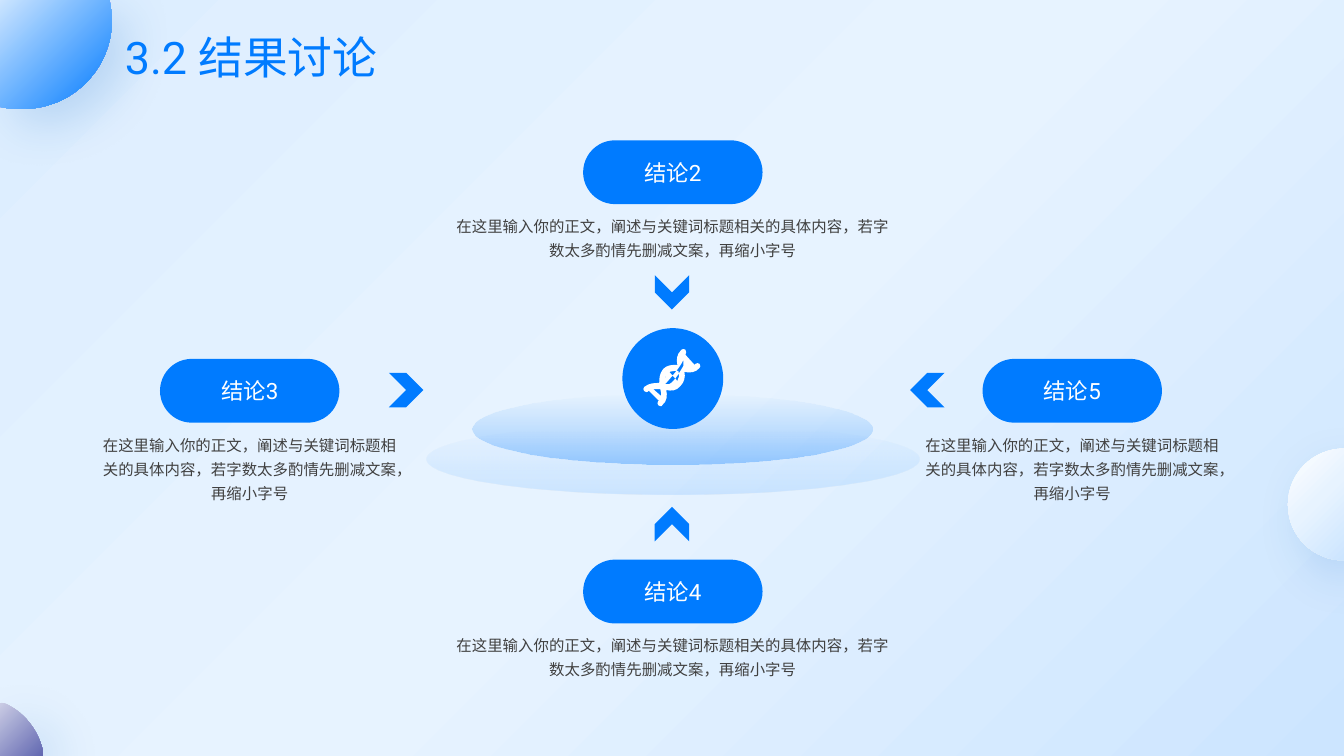
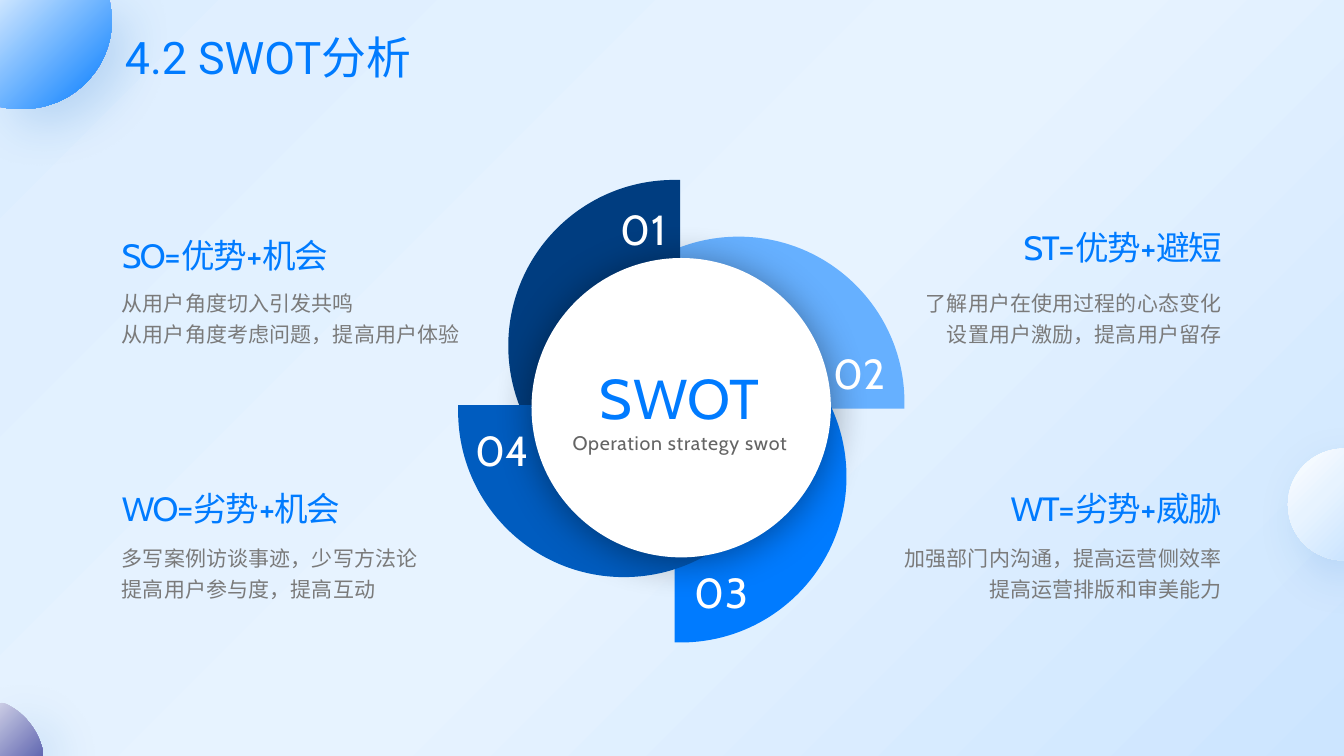
"""Build a results slide and a SWOT slide on a 160 by 90 grid."""
import math
from dataclasses import dataclass
from typing import Any

import pptx
import pptx.dml.color
import pptx.enum.lang
import pptx.enum.shapes
import pptx.enum.text
import pptx.oxml
import pptx.oxml.ns
import pptx.util

COLS, ROWS = 160, 90
CELL = pptx.util.Inches(1 / 12)
HUES = {
    "blue": "007BFF", "deep": "005CBF", "navy": "003D80", "sky": "66B0FF",
    "white": "FFFFFF", "black": "000000", "ink": "404040", "gray": "7A7A7A",
    "slate": "646464", "mist": "DDEEFF", "ice": "E7F3FF", "pale": "CCE5FF",
    "lilac": "CBCDE5", "plum": "6369B2",
}
KIND = pptx.enum.shapes.MSO_SHAPE
ALIGN = pptx.enum.text.PP_ALIGN
ANCHOR = pptx.enum.text.MSO_ANCHOR
Point = tuple[float, float]
Stop = tuple[int, str, int]
Loop = tuple[tuple[float, ...], ...]


@dataclass(frozen=True)
class Ball:
    """Part of a ball at the slide edge."""
    rim: Loop
    stops: tuple[Stop, ...]


@dataclass(frozen=True)
class Claim:
    """Pill with body text and an arrow to the centre."""
    name: str
    x: float
    y: float
    wide: float
    tip: Point
    turn: int


@dataclass(frozen=True)
class Petal:
    """Half disc of the wheel with its number."""
    name: str
    x: float
    y: float
    turn: int
    hue: str
    spot: Point
    wide: float


@dataclass(frozen=True)
class Plan:
    """Heading and two lines in one corner."""
    head: str
    body: tuple[str, str]
    right: bool
    tops: Point
    wides: Point
    high: float = 4.8
    gap: float = 1.0


BALLS = (
    Ball(((0, 0), (13.08, 0), (13.08, 0.24), (13.2, 0.96, 13.32, 1.68, 13.32, 2.4),
          (13.32, 8.28, 8.52, 12.96, 2.76, 12.96), (1.92, 12.96, 1.2, 12.96, 0.6, 12.84),
          (0, 12.72)), ((0, "pale", 100), (100, "blue", 100))),
    Ball(((160, 53.4), (160, 66.72), (156.24, 66.72, 153.33, 63.72, 153.33, 60.06),
          (153.33, 56.4, 156.24, 53.4, 160, 53.4)),
         ((0, "white", 100), (49, "ice", 100), (100, "pale", 100))),
    Ball(((0, 83.64), (0.6, 83.76), (2.76, 84.72, 4.44, 86.76, 5.04, 89.16),
          (5.04, 90), (0, 90)), ((0, "lilac", 100), (100, "plum", 100))),
)
BODY = "在这里输入你的正文，阐述与关键词标题相关的具体内容，若字数太多酌情先删减文案，再缩小字号"
CLAIMS = (
    Claim("结论2", 80.1, 16.7, 53.04, (80, 34.8), 90),
    Claim("结论3", 29.73, 42.72, 36.48, (48.36, 46.44), 0),
    Claim("结论5", 127.65, 42.72, 36.48, (110.4, 46.44), 180),
    Claim("结论4", 80.1, 66.62, 53.04, (80, 62.4), 270),
)
PETALS = (
    Petal("02", 87.93, 47.91, 270, "sky", (98.04, 40.74), 16.92),
    Petal("03", 81.03, 56.74, 0, "blue", (81.54, 66.9), 20.64),
    Petal("01", 80.25, 41.16, 180, "navy", (72.72, 23.64), 17.52),
    Petal("04", 74.28, 48.96, 90, "deep", (55.38, 49.98), 18.96),
)
PLANS = (
    Plan("ST=优势+避短", ("了解用户在使用过程的心态变化", "设置用户激励，提高用户留存"),
         True, (27.36, 33.2), (33.48, 42.84), 3.84, 0.79),
    Plan("WT=劣势+威胁", ("加强部门内沟通，提高运营侧效率", "提高运营排版和审美能力"),
         True, (57.45, 63.57), (35.16, 45.24)),
    Plan("SO=优势+机会", ("从用户角度切入引发共鸣", "从用户角度考虑问题，提高用户体验"),
         False, (27.36, 33.2), (42.6, 46.08)),
    Plan("WO=劣势+机会", ("多写案例访谈事迹，少写方法论", "提高用户参与度，提高互动"),
         False, (57.45, 63.57), (39.12, 42.6)),
)
HELIX = (
    ((56, 15), (55, 14, 53, 14, 52, 15), (52, 16, 52, 16, 51, 16), (42, 6),
     (43, 4, 43, 3, 42, 1), (41, 0, 39, 0, 38, 1), (33, 6, 33, 11, 34, 16),
     (29, 16, 24, 16, 20, 20), (16, 25, 16, 30, 16, 34), (11, 34, 6, 34, 1, 38),
     (0, 39, 0, 41, 1, 42), (2, 43, 2, 43, 3, 43), (4, 43, 5, 43, 5, 42),
     (6, 42), (16, 52), (15, 52), (14, 53, 14, 55, 15, 56),
     (16, 57, 16, 57, 17, 57), (18, 57, 19, 57, 19, 56), (24, 52, 24, 46, 23, 41),
     (28, 42, 33, 42, 37, 37), (41, 33, 42, 28, 41, 23), (46, 24, 52, 24, 56, 19),
     (57, 18, 57, 17, 56, 15)),
    ((35, 22), (36, 26, 36, 29, 34, 32), (26, 23), (29, 22, 31, 22, 35, 22)),
    ((10, 40), (12, 40, 14, 40, 17, 40), (18, 43, 18, 45, 18, 47)),
    ((22, 35), (22, 32, 21, 29, 23, 26), (31, 35), (29, 36, 26, 36, 22, 35)),
    ((40, 17), (40, 15, 39, 12, 40, 11), (47, 18), (45, 18, 43, 18, 40, 17)),
)


def grid(*cells: float) -> list[int]:
    """Turn grid cells into slide lengths."""
    return [round(cell * CELL) for cell in cells]


def tone(hue: str) -> pptx.dml.color.RGBColor:
    """Look up a colour by name."""
    return pptx.dml.color.RGBColor.from_string(HUES[hue])


def node(tag: str, root: Any, **attrs: Any) -> Any:
    """Append a drawing element to a parent."""
    item = pptx.oxml.parse_xml(f"<a:{tag} {pptx.oxml.ns.nsdecls('a')}/>")
    for key, val in attrs.items():
        item.set(key, str(val))
    root.append(item)
    return item


def tint(root: Any, hue: str, alpha: int) -> None:
    """Append a colour with its opacity in percent."""
    color = node("srgbClr", root, val=HUES[hue])
    if alpha < 100:
        node("alpha", color, val=alpha * 1000)


def blend(fill: Any, root: Any, stops: tuple[Stop, ...], turn: int) -> None:
    """Give a fill a linear gradient."""
    fill.gradient()
    grad = next(root.iter(pptx.oxml.ns.qn("a:gradFill")))
    for child in list(grad):
        grad.remove(child)
    marks = node("gsLst", grad)
    for pos, hue, alpha in stops:
        tint(node("gs", marks, pos=pos * 1000), hue, alpha)
    node("lin", grad, ang=turn * 60000, scaled=0)


def paint(shape: Any, hue: str = "", stops: tuple[Stop, ...] = (), turn: int = 0) -> Any:
    """Fill a shape and drop its line and shadow."""
    if stops:
        blend(shape.fill, shape._element.spPr, stops, turn)
    else:
        shape.fill.solid()
        shape.fill.fore_color.rgb = tone(hue)
    shape.line.fill.background()
    shape.shadow.inherit = False
    return shape


def shade(shape: Any, hue: str, alpha: int, blur: int, dist: int, turn: int) -> None:
    """Give a shape an outer shadow."""
    effect = shape._element.spPr.find(pptx.oxml.ns.qn("a:effectLst"))
    cast = node("outerShdw", effect, blurRad=blur * 12700, dist=dist * 12700,
                dir=turn * 60000, rotWithShape=0)
    tint(cast, hue, alpha)


def form(slide: Any, kind: Any, x: float, y: float, wide: float, high: float) -> Any:
    """Add a preset shape by its centre."""
    return slide.shapes.add_shape(kind, *grid(x - wide / 2, y - high / 2, wide, high))


def trace(slide: Any, *loops: Loop) -> Any:
    """Add closed loops whose rows are line ends or cubic curves."""
    pen = slide.shapes.build_freeform(*grid(*loops[0][0]))
    for loop in loops:
        if loop is not loops[0]:
            pen.move_to(*grid(*loop[0]))
        pen.add_line_segments([grid(*row[-2:]) for row in loop[1:]], close=True)
    shape = pen.convert_to_shape()
    left, top = shape.left, shape.top
    lines = list(shape._element.iter(pptx.oxml.ns.qn("a:lnTo")))
    rows = [row for loop in loops
            for row in loop[1:] + (() if loop[-1][-2:] == loop[0] else (loop[0],))]
    for line, row in zip(lines, rows):
        if len(row) == 6:
            curve = node("cubicBezTo", line.getparent())
            line.getparent().replace(line, curve)
            spots = grid(*row)
            for x, y in zip(spots[::2], spots[1::2]):
                node("pt", curve, x=x - left, y=y - top)
    return shape


def half(x: float, y: float, rad: float, lip: float, turn: int) -> Loop:
    """Outline a half disc with a straight lip, facing a direction."""
    cos, sin = round(math.cos(math.radians(turn))), round(math.sin(math.radians(turn)))
    bow = rad * 0.5523
    rows = ((-lip, -rad), (0, -rad), (bow, -rad, rad, -bow, rad, 0),
            (rad, bow, bow, rad, 0, rad), (-lip, rad))
    return tuple(tuple(val for a, b in zip(row[::2], row[1::2])
                       for val in (x + a * cos - b * sin, y + a * sin + b * cos))
                 for row in rows)


def frame(slide: Any, x: float, y: float, wide: float, high: float) -> Any:
    """Add a text box and return its frame."""
    return slide.shapes.add_textbox(*grid(x, y, wide, high)).text_frame


def text(box: Any, *lines: str, size: int, hue: str, font: str = "Roboto",
         align: Any = ALIGN.LEFT, gap: float = 1.0, track: float = 0,
         anchor: Any = ANCHOR.TOP, bare: bool = False) -> None:
    """Add formatted lines to a text frame."""
    box.word_wrap = True
    box.vertical_anchor = anchor
    if bare:
        box.margin_left = box.margin_right = box.margin_top = box.margin_bottom = 0
    for line in lines:
        para = box.add_paragraph() if box.text else box.paragraphs[0]
        para.alignment = align
        para.line_spacing = gap
        run = para.add_run()
        run.text = line
        run.font.size = pptx.util.Pt(size)
        run.font.color.rgb = tone(hue)
        run.font.name = font
        run.font.language_id = pptx.enum.lang.MSO_LANGUAGE_ID.SIMPLIFIED_CHINESE
        props = run._r.get_or_add_rPr()
        node("ea", props, typeface=font)
        if track:
            props.set("spc", str(round(track * 100)))


def start(deck: Any, title: str) -> Any:
    """Add a slide with corner balls and a title."""
    slide = deck.slides.add_slide(deck.slide_layouts[6])
    for ball in BALLS:
        shade(paint(trace(slide, ball.rim), stops=ball.stops, turn=45), "deep", 16, 35, 16, 45)
    text(frame(slide, 13.68, 3.24, 40, 7.92), title, size=32, hue="blue",
         gap=0.9, anchor=ANCHOR.MIDDLE)
    return slide


def results(deck: Any) -> None:
    """Draw four conclusions around a pedestal."""
    slide = start(deck, "3.2 结果讨论")
    for y, wide, low, alpha in ((51.05, 47.64, 0, 33), (54.65, 58.7, 10, 12)):
        paint(form(slide, KIND.OVAL, 80.1, y, wide, 8.4),
              stops=((low, "blue", 0), (100, "blue", alpha)), turn=90)
    paint(form(slide, KIND.OVAL, 80.1, 45.07, 12, 12), "blue")
    helix = (tuple(tuple((41.52 if i % 2 else 76.56) + val * 0.12 for i, val in enumerate(row))
                   for row in loop) for loop in HELIX)
    paint(trace(slide, *helix), "white")
    for claim in CLAIMS:
        pill = paint(form(slide, KIND.ROUNDED_RECTANGLE, claim.x, claim.y + 3.8, 21.36, 7.6), "blue")
        pill.adjustments[0] = 0.5
        text(pill.text_frame, claim.name, size=16, hue="white", align=ALIGN.CENTER,
             anchor=ANCHOR.MIDDLE)
        text(frame(slide, claim.x - claim.wide / 2, claim.y + 8.5, claim.wide, 8.4), BODY,
             size=11, hue="ink", align=ALIGN.CENTER, gap=1.3, bare=True)
        paint(form(slide, KIND.CHEVRON, *claim.tip, 4.1, 4.1), "blue").rotation = claim.turn


def swot(deck: Any) -> None:
    """Draw the SWOT wheel and its four plans."""
    slide = start(deck, "4.2 SWOT分析")
    for petal in PETALS:
        paint(trace(slide, half(petal.x, petal.y, 19.74, 0.72, petal.turn)), petal.hue)
    hub = paint(form(slide, KIND.OVAL, 81.1, 48.54, 35.64, 35.64), "white")
    shade(hub, "black", 40, 28, 3, 90)
    for petal in PETALS:
        text(frame(slide, *petal.spot, petal.wide, 6), petal.name, size=30, hue="white",
             font="Cabin", track=0.3)
    core = frame(slide, 63.72, 43.27, 34.44, 10.08)
    for line, size, hue in (("SWOT", 40, "blue"), ("Operation strategy swot", 14, "slate")):
        text(core, line, size=size, hue=hue, font="Cabin", align=ALIGN.CENTER,
             gap=0.95, track=0.5)
    for plan in PLANS:
        side = ALIGN.RIGHT if plan.right else ALIGN.LEFT
        left, right = (146.64 - wide if plan.right else 13.32 for wide in plan.wides)
        text(frame(slide, left, plan.tops[0], plan.wides[0], plan.high), plan.head, size=24,
             hue="blue", font="Cabin", align=side, gap=plan.gap, track=-1.1)
        text(frame(slide, right, plan.tops[1], plan.wides[1], 7.44), *plan.body, size=15,
             hue="gray", font="Cabin", align=side, gap=1.25, track=0.1)


def main() -> None:
    """Build and save the deck."""
    deck = pptx.Presentation()
    deck.slide_width, deck.slide_height = grid(COLS, ROWS)
    master = deck.slide_master
    blend(master.background.fill, master._element,
          ((0, "mist", 100), (52, "ice", 100), (100, "pale", 100)), 45)
    results(deck)
    swot(deck)
    deck.save("out.pptx")


if __name__ == "__main__":
    main()
